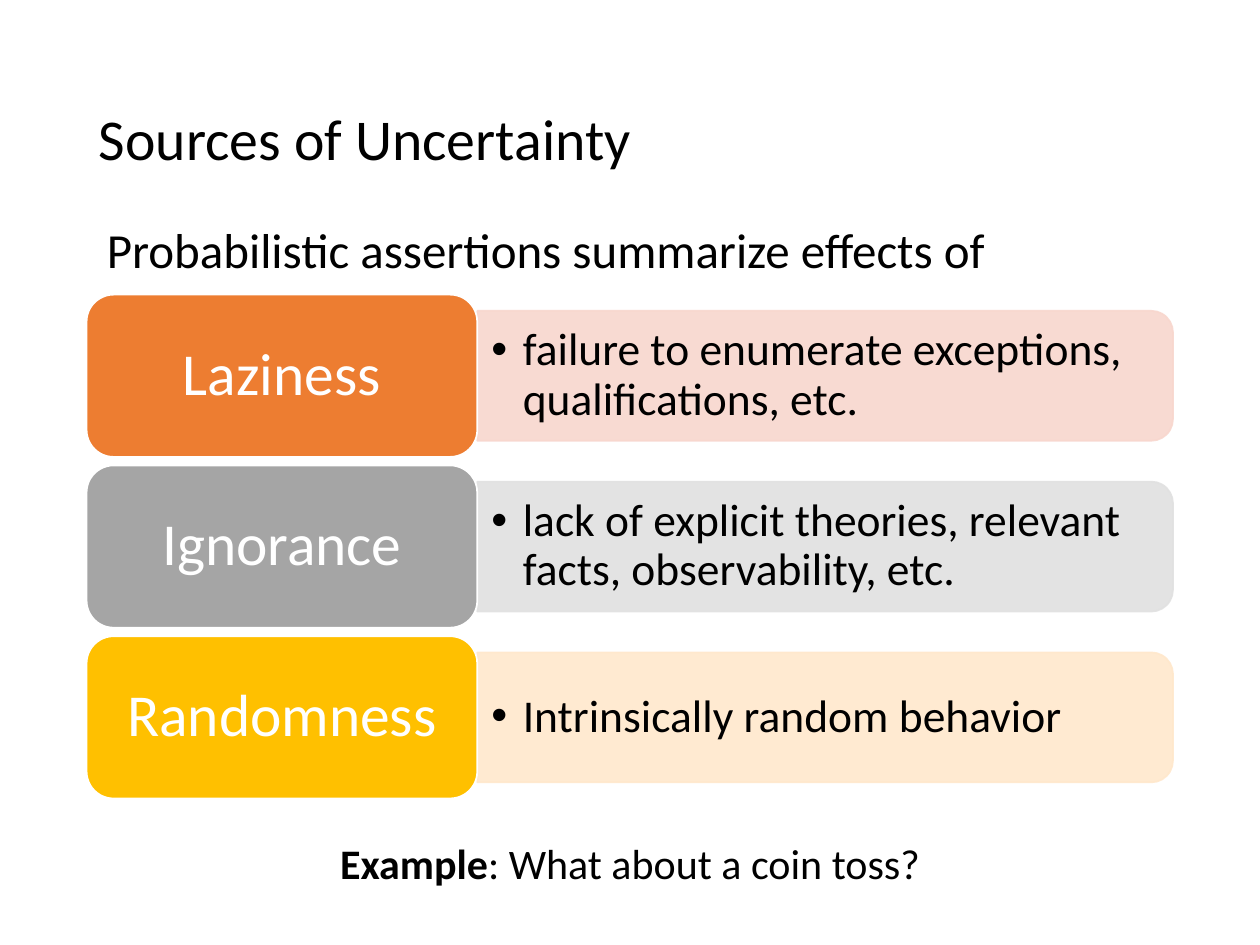
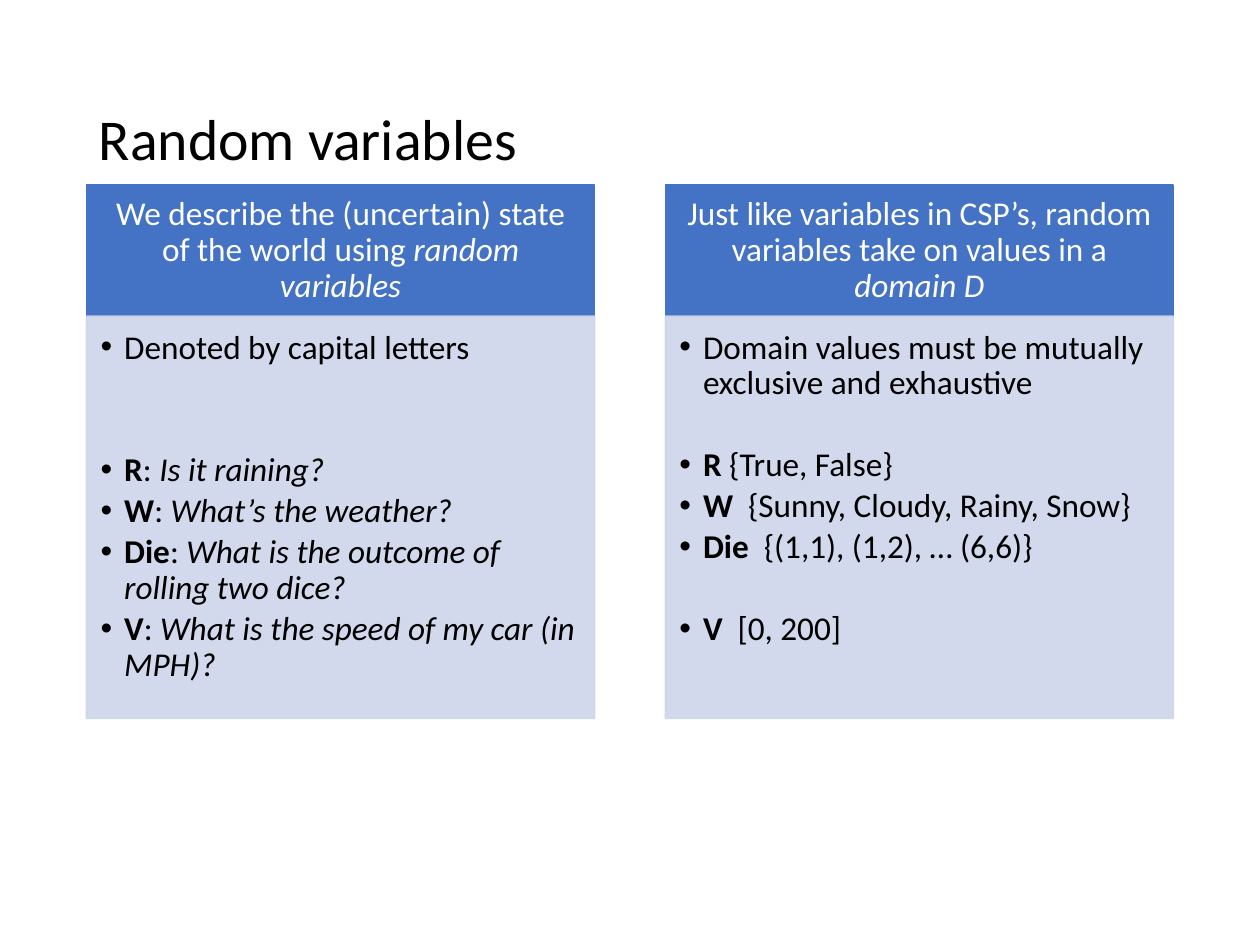
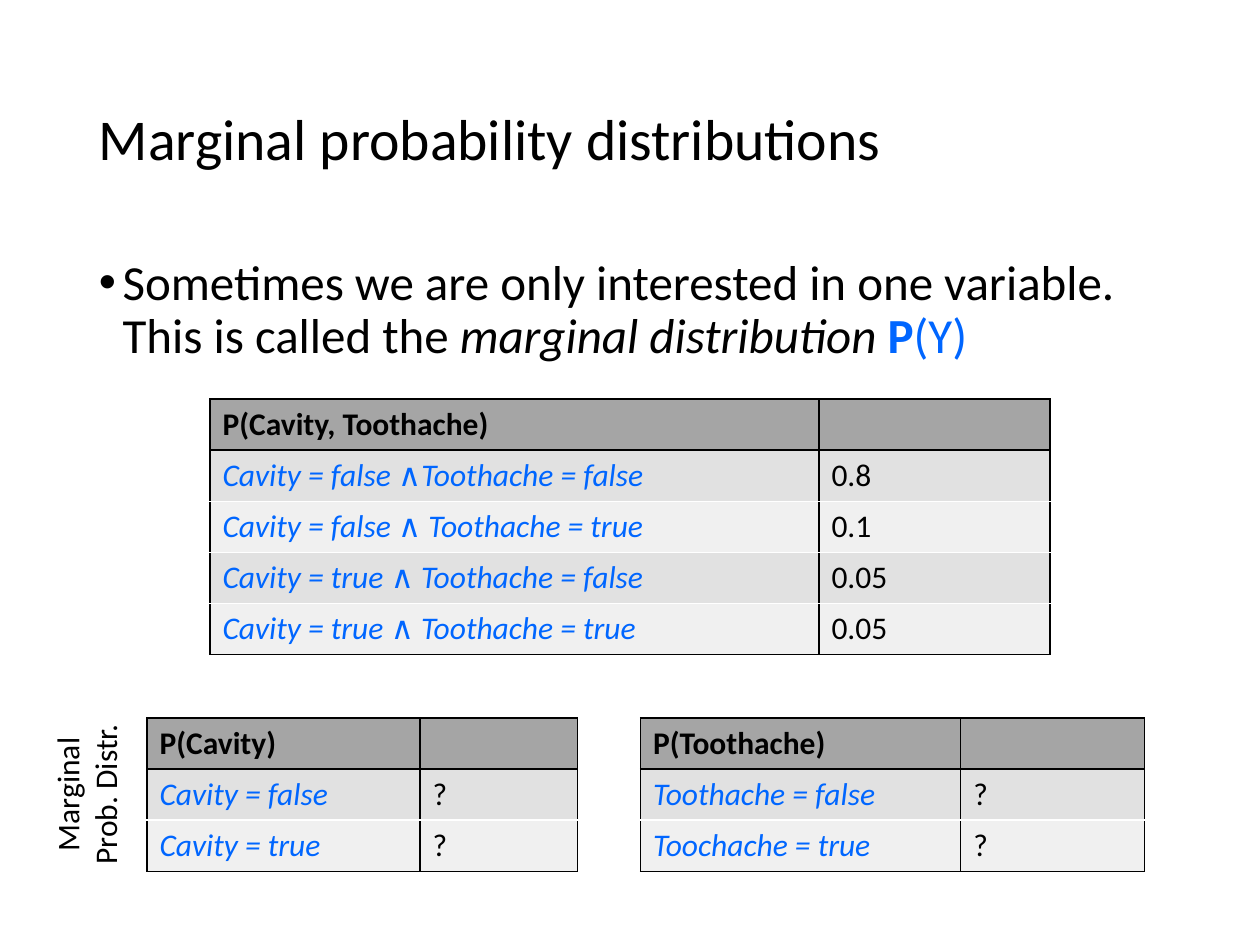
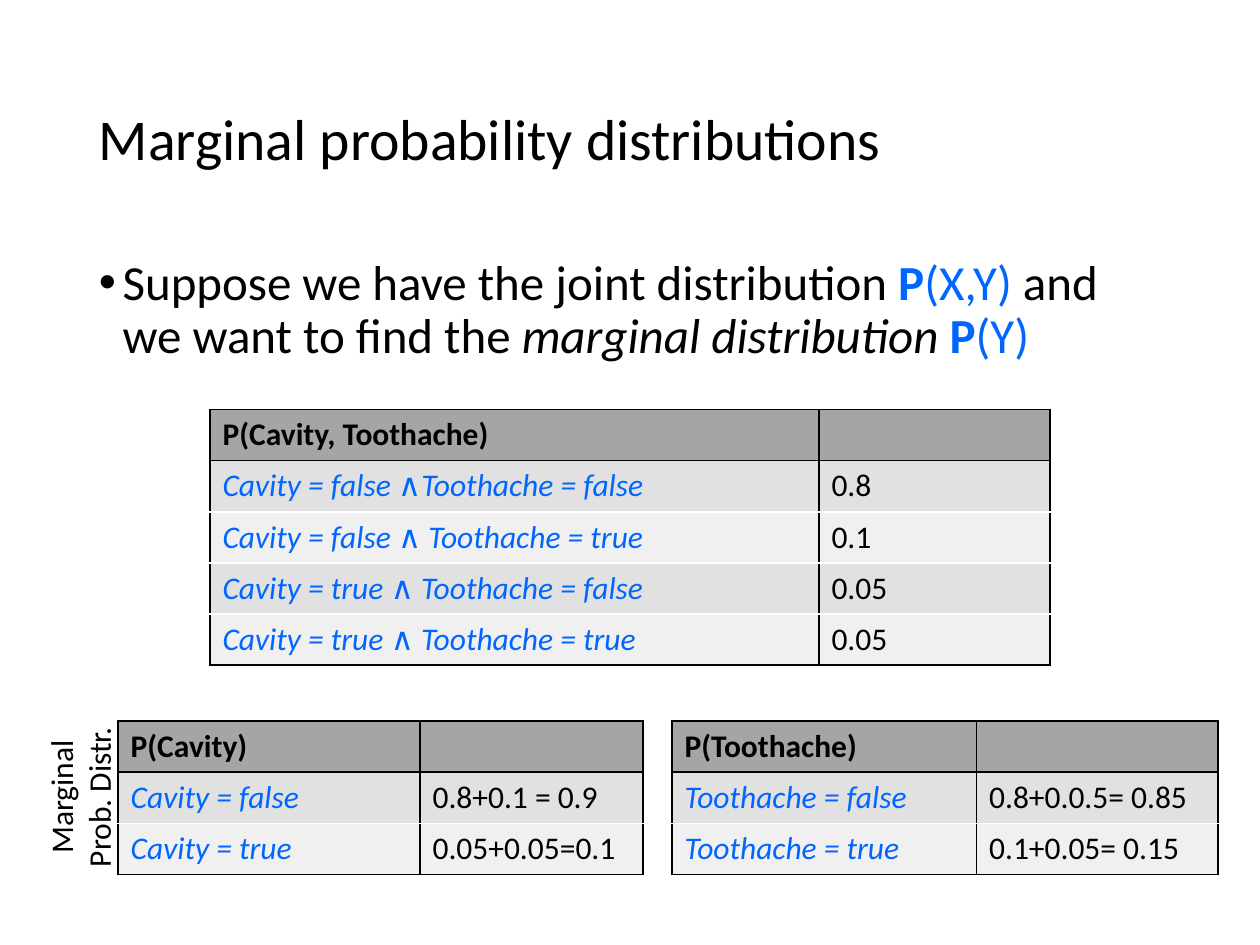
from lxml import etree
from pptx import Presentation
from pptx import util as u
from pptx.dml.color import RGBColor
from pptx.enum import shapes, text
from pptx.oxml.ns import qn

FONT = "Calibri"
BLACK, WHITE, FORMULA_BLUE = "000000", "FFFFFF", "0066FF"
HEADER_GREY, ROW_GREYS = "A5A5A5", ("E1E1E1", "F0F0F0")
HEADING_BLUE, PANEL_BLUE = "4472C4", "CFD5EA"
LEFT, CONTENT_WIDTH = 49.5, 621
ROW_HEIGHT = 29.25
CENTER = text.PP_ALIGN.CENTER
MIDDLE = text.MSO_ANCHOR.MIDDLE
BOLD, ITALIC = {"bold": True}, {"italic": True}
BLUE = {"color": FORMULA_BLUE}
BOLD_BLUE = {**BOLD, **BLUE}


def rgb(color):
    return RGBColor.from_string(color)


def write(frame, content, size=18, color=BLACK, bold=False, italic=False,
          align=None, spacing=None, before=None, after=None, bullet_indent=None):
    """Add a paragraph; content is a string or a list of (text, format) runs."""
    paragraph = frame.paragraphs[0]
    if paragraph.runs:
        paragraph = frame.add_paragraph()
    paragraph.alignment = align
    paragraph.line_spacing = spacing
    if before is not None:
        paragraph.space_before = u.Pt(before)
    if after is not None:
        paragraph.space_after = u.Pt(after)
    if bullet_indent:
        properties = paragraph._p.get_or_add_pPr()
        properties.set("marL", str(u.Pt(bullet_indent)))
        properties.set("indent", str(-u.Pt(bullet_indent)))
        etree.SubElement(properties, qn("a:buFont"), typeface="Arial")
        etree.SubElement(properties, qn("a:buChar"), char="•")
    runs = [(content, {})] if isinstance(content, str) else content
    for words, changes in runs:
        style = {"color": color, "bold": bold, "italic": italic, **changes}
        run = paragraph.add_run()
        run.text = words
        run.font.name = FONT
        run.font.size = u.Pt(size)
        run.font.bold = style["bold"]
        run.font.italic = style["italic"]
        run.font.color.rgb = rgb(style["color"])


def set_frame(frame, insets, anchor, wrap=True):
    frame.word_wrap = wrap
    frame.vertical_anchor = anchor
    (frame.margin_left, frame.margin_top,
     frame.margin_right, frame.margin_bottom) = map(u.Pt, insets)


def set_borders(cell, **colors):
    """Draw 1 pt borders; call before filling the cell, as the XML order requires."""
    properties = cell._tc.get_or_add_tcPr()
    for side in ("L", "R", "T", "B"):
        line = etree.SubElement(properties, qn("a:ln" + side), w=str(u.Pt(1)))
        fill = etree.SubElement(line, qn("a:solidFill"))
        etree.SubElement(fill, qn("a:srgbClr"), val=colors.get(side, BLACK))


class Deck:
    def __init__(self):
        self.presentation = Presentation()
        self.presentation.slide_width = u.Pt(720)
        self.presentation.slide_height = u.Pt(540)
        self.slide = None

    def add_slide(self, title):
        self.slide = self.presentation.slides.add_slide(self.presentation.slide_layouts[6])
        frame = self.text_box(LEFT, 28.75, CONTENT_WIDTH, 104.5, anchor=MIDDLE)
        write(frame, title, size=33, spacing=0.9)

    def text_box(self, left, top, width, height, insets=(7.2, 3.6, 7.2, 3.6),
                 anchor=text.MSO_ANCHOR.TOP, wrap=True, rotation=0):
        box = self.slide.shapes.add_textbox(*map(u.Pt, (left, top, width, height)))
        box.rotation = rotation
        set_frame(box.text_frame, insets, anchor, wrap)
        return box.text_frame

    def block(self, kind, left, top, width, height, color, line=None, opacity=None,
              rotation=0, insets=(0, 0, 0, 0), anchor=MIDDLE):
        shape = self.slide.shapes.add_shape(kind, *map(u.Pt, (left, top, width, height)))
        shape.shadow.inherit = False
        shape.rotation = rotation
        shape.fill.solid()
        shape.fill.fore_color.rgb = rgb(color)
        shape.line.color.rgb = rgb(line or color)
        shape.line.width = u.Pt(1)
        if opacity:
            for tint in shape._element.spPr.iter(qn("a:srgbClr")):
                etree.SubElement(tint, qn("a:alpha"), val=str(opacity * 1000))
        set_frame(shape.text_frame, insets, anchor)
        return shape.text_frame

    def probability_table(self, left, top, widths, header, rows):
        frame = self.slide.shapes.add_table(
            len(rows) + 1, 2, u.Pt(left), u.Pt(top),
            u.Pt(sum(widths)), u.Pt(ROW_HEIGHT * (len(rows) + 1)))
        table = frame.table
        table.first_row = table.horz_banding = False
        for column, width in zip(table.columns, widths):
            column.width = u.Pt(width)
        for row in table.rows:
            row.height = u.Pt(ROW_HEIGHT)
        for column in range(2):
            self.fill_cell(table.cell(0, column), HEADER_GREY)
        write(table.cell(0, 0).text_frame, header, bold=True)
        for number, (event, value) in enumerate(rows, 1):
            borders = {"T": BLACK if number == 1 else WHITE,
                       "B": BLACK if number == len(rows) else WHITE}
            for column in range(2):
                self.fill_cell(table.cell(number, column),
                               ROW_GREYS[(number - 1) % 2], **borders)
            parts = [(part, {"italic": part != "∧"})
                     for part in event.partition("∧") if part]
            write(table.cell(number, 0).text_frame, parts, color=FORMULA_BLUE)
            write(table.cell(number, 1).text_frame, value)

    def fill_cell(self, cell, color, **borders):
        set_borders(cell, **borders)
        cell.fill.solid()
        cell.fill.fore_color.rgb = rgb(color)

    def source_row(self, middle, name, detail, color, tint):
        """Draw a labelled block with a bar whose right-hand corners are round."""
        label_width, label_height = 223.25, 92.75
        bar_left, bar_width, bar_height = LEFT + label_width, 397.5, 74.25
        self.block(shapes.MSO_SHAPE.ROUND_2_SAME_RECTANGLE,
                   bar_left + (bar_width - bar_height) / 2, middle - bar_width / 2,
                   bar_height, bar_width, tint, opacity=90, rotation=90)
        frame = self.text_box(bar_left, middle - 33.5, 394, 67,
                              insets=(8, 4, 8, 4), anchor=MIDDLE)
        write(frame, detail, size=26, spacing=0.9, bullet_indent=18)
        frame = self.block(shapes.MSO_SHAPE.ROUNDED_RECTANGLE, LEFT,
                           middle - label_height / 2, label_width, label_height,
                           color, line=WHITE, insets=(10, 5, 10, 5))
        write(frame, name, size=34, color=WHITE, align=CENTER, spacing=0.9)

    def panel(self, left, heading, items):
        """Draw a headed list; items are (space before, runs) pairs."""
        width, top, heading_height = 290.25, 105.75, 75
        rectangle = shapes.MSO_SHAPE.RECTANGLE
        frame = self.block(rectangle, left, top, width, heading_height,
                           HEADING_BLUE, insets=(11, 6, 11, 6))
        write(frame, heading, size=19, color=WHITE, align=CENTER, spacing=0.9)
        frame = self.block(rectangle, left, top + heading_height, width, 229.75,
                           PANEL_BLUE, opacity=90, insets=(8, 8, 11, 12),
                           anchor=text.MSO_ANCHOR.TOP)
        for before, runs in items:
            write(frame, runs, size=19, align=text.PP_ALIGN.LEFT, spacing=0.9,
                  before=before, after=2.85, bullet_indent=13.5)

    def marginal_slide(self, statement, joint_top, label_at, marginal_top, marginals):
        self.add_slide("Marginal probability distributions")
        frame = self.text_box(LEFT, 144, CONTENT_WIDTH, 342.75)
        write(frame, statement, size=28, spacing=0.9, before=7.5, bullet_indent=13.5)
        self.probability_table(120, joint_top, (348, 132), "P(Cavity, Toothache)", [
            ("Cavity = false ∧Toothache = false", "0.8"),
            ("Cavity = false ∧ Toothache = true", "0.1"),
            ("Cavity = true ∧ Toothache = false", "0.05"),
            ("Cavity = true ∧ Toothache = true", "0.05"),
        ])
        for left, widths, header, rows in marginals:
            self.probability_table(left, marginal_top, widths, header, rows)
        frame = self.text_box(*label_at, 117.5, 51, rotation=270)
        write(frame, "Marginal Prob. Distr.", align=CENTER)


def sources_slide(deck):
    deck.add_slide("Sources of Uncertainty")
    rows = [
        ("Laziness", "failure to enumerate exceptions, qualifications, etc.",
         "ED7D31", "F8D7CE"),
        ("Ignorance", "lack of explicit theories, relevant facts, observability, etc.",
         "A5A5A5", "E1E1E1"),
        ("Randomness", "Intrinsically random behavior", "FFC000", "FFE8CC"),
    ]
    for number, row in enumerate(rows):
        deck.source_row(214.75 + 97.6 * number, *row)
    frame = deck.text_box(54, 121.75, 522, 41, wrap=False)
    write(frame, "Probabilistic assertions summarize effects of", size=28)
    frame = deck.text_box(132, 475, 456, 36)
    write(frame, [("Example", BOLD), (": What about a coin toss?", {})],
          size=24, align=CENTER)


def variables_slide(deck):
    deck.add_slide("Random variables")
    blank_line = 23.4
    deck.panel(
        LEFT,
        [("We describe the (uncertain) state of the world using ", {}),
         ("random variables", ITALIC)],
        [(0, "Denoted by capital letters"),
         (2 * blank_line, [("R", BOLD), (": ", {}), ("Is it raining?", ITALIC)]),
         (0, [("W", BOLD), (":", {}), (" What’s the weather?", ITALIC)]),
         (0, [("Die", BOLD), (": ", {}),
              ("What is the outcome of rolling two dice?", ITALIC)]),
         (0, [("V", BOLD), (": ", {}),
              ("What is the speed of my car (in MPH)?", ITALIC)])])
    deck.panel(
        380.25,
        [("Just like variables in CSP’s, random variables take on values in a ", {}),
         ("domain D", ITALIC)],
        [(0, "Domain values must be mutually exclusive and exhaustive"),
         (blank_line, [("R ", BOLD), ("{True, False}", {})]),
         (0, [("W ", BOLD), (" {Sunny, Cloudy, Rainy, Snow}", {})]),
         (0, [("Die ", BOLD), (" {(1,1), (1,2), … (6,6)}", {})]),
         (blank_line, [("V ", BOLD), (" [0, 200]", {})])])


def marginal_question_slide(deck):
    deck.marginal_slide(
        [("Sometimes we are only interested in one variable. This is called the ", {}),
         ("marginal distribution ", ITALIC), ("P", BOLD_BLUE), ("(Y)", BLUE)],
        228, (-9.5, 428.5), 410.25,
        [(84, (156, 90), "P(Cavity)",
          [("Cavity = false", "?"), ("Cavity = true", "?")]),
         (366, (183, 105), "P(Toothache)",
          [("Toothache = false", "?"), ("Toochache = true", "?")])])


def marginal_answer_slide(deck):
    deck.marginal_slide(
        [("Suppose we have the joint distribution ", {}), ("P", BOLD_BLUE),
         ("(X,Y)", BLUE), (" and we want to find the ", {}),
         ("marginal distribution ", ITALIC), ("P", BOLD_BLUE), ("(Y)", BLUE)],
        234, (-13, 430), 412,
        [(67.5, (172.5, 127.5), "P(Cavity)",
          [("Cavity = false", "0.8+0.1 = 0.9"), ("Cavity = true", "0.05+0.05=0.1")]),
         (384, (174, 138), "P(Toothache)",
          [("Toothache = false", "0.8+0.0.5= 0.85"),
           ("Toothache = true", "0.1+0.05= 0.15")])])


def main():
    deck = Deck()
    sources_slide(deck)
    variables_slide(deck)
    marginal_question_slide(deck)
    marginal_answer_slide(deck)
    deck.presentation.save("out.pptx")


if __name__ == "__main__":
    main()
